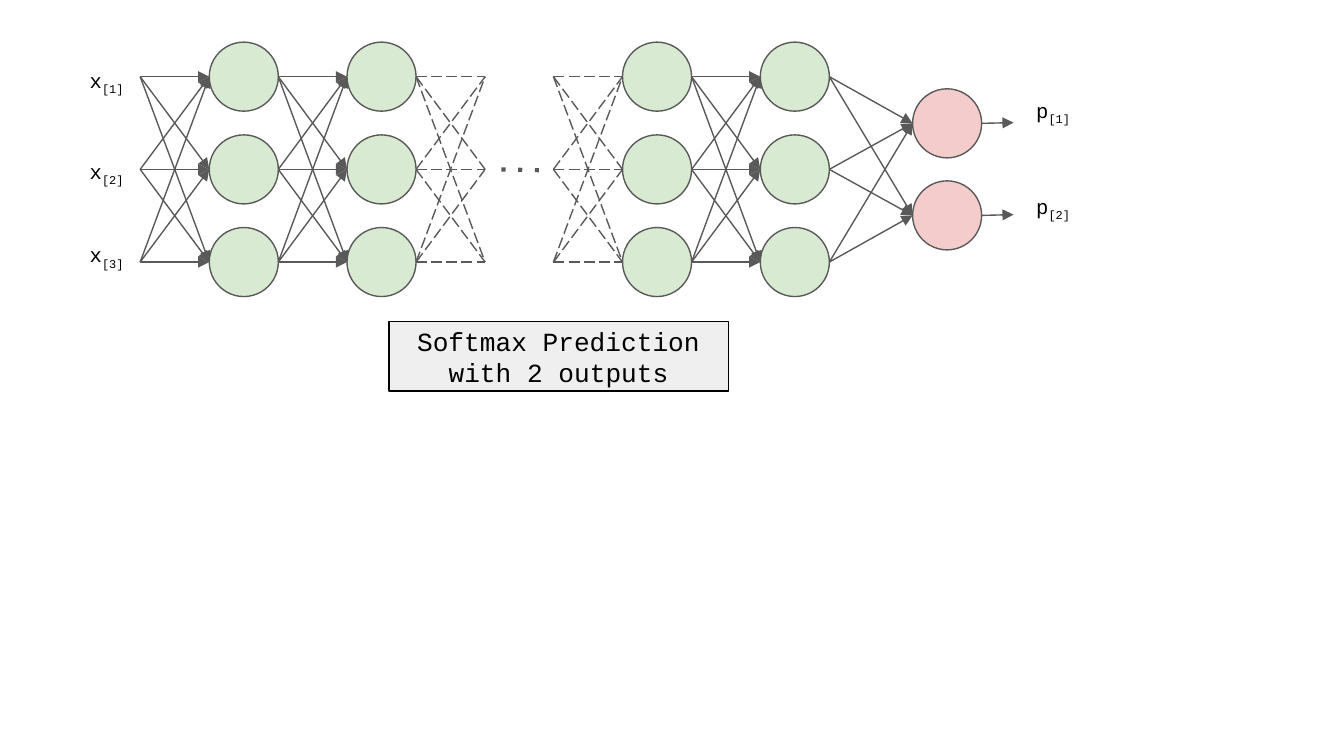
from itertools import product

from lxml import etree
from pptx import Presentation
from pptx import util as u
from pptx.dml.color import RGBColor
from pptx.enum import shapes, text
from pptx.oxml.ns import qn

COLORS = {"hidden": "D9EAD3", "output": "F4CCCC", "edge": "595959",
          "caption": "EFEFEF", "ink": "000000"}
FRAME = {"margin_left": u.Pt(7.2), "margin_right": u.Pt(7.2),
         "margin_top": 0, "margin_bottom": 0, "word_wrap": True}
DIAMETER = 37
ROWS = [41.1 + 49.65 * row for row in range(3)]
COLUMNS = [112.1 + 73.8 * column for column in (0, 1, 3, 4)]
OUTPUT_LEFT = 488.9
OUTPUT_ROWS = [66.1, 115.4]

prs = Presentation()
prs.slide_width, prs.slide_height = u.Pt(720), u.Pt(405)
slide = prs.slides.add_slide(prs.slide_layouts[6])
network = slide.shapes.add_group_shape().shapes


def add_link(start, end, width=0.75, dash=None, arrow=True):
    link = network.add_connector(shapes.MSO_CONNECTOR.STRAIGHT,
                                 *[u.Pt(value) for value in (*start, *end)])
    link.line.color.rgb = RGBColor.from_string(COLORS["edge"])
    link.line.width = u.Pt(width)
    properties = link._element.spPr
    outline = properties.find(qn("a:ln"))
    if dash:
        etree.SubElement(outline, qn("a:prstDash")).set("val", dash)
    if arrow:
        etree.SubElement(outline, qn("a:tailEnd")).set("type", "triangle")
    etree.SubElement(properties, qn("a:effectLst"))


def write(frame, parts, size, anchor, align):
    settings = {**FRAME, "vertical_anchor": anchor}
    for name, value in settings.items():
        setattr(frame, name, value)
    paragraph = frame.paragraphs[0]
    paragraph.alignment = align
    for words, baseline in parts:
        run = paragraph.add_run()
        run.text = words
        for name, value in {"name": "Courier New", "size": u.Pt(size)}.items():
            setattr(run.font, name, value)
        run.font.color.rgb = RGBColor.from_string(COLORS["ink"])
        if baseline:
            run._r.get_or_add_rPr().set("baseline", str(baseline))


neurons = [(left, row, "hidden") for left, row in product(COLUMNS, ROWS)]
neurons += [(OUTPUT_LEFT, row, "output") for row in OUTPUT_ROWS]
for left, row, role in neurons:
    neuron = network.add_shape(shapes.MSO_SHAPE.OVAL, u.Pt(left), u.Pt(row - DIAMETER / 2),
                               u.Pt(DIAMETER), u.Pt(DIAMETER))
    neuron.shadow.inherit = False
    neuron.fill.solid()
    neuron.fill.fore_color.rgb = RGBColor.from_string(COLORS[role])
    neuron.line.color.rgb = RGBColor.from_string(COLORS["edge"])
    neuron.line.width = u.Pt(0.75)

first, second, third, fourth = COLUMNS
layers = [
    (first - DIAMETER, first, ROWS, None),
    (first + DIAMETER, second, ROWS, None),
    (second + DIAMETER, second + 2 * DIAMETER, ROWS, "lgDash"),
    (third - DIAMETER, third, ROWS, "lgDash"),
    (third + DIAMETER, fourth, ROWS, None),
    (fourth + DIAMETER, OUTPUT_LEFT, OUTPUT_ROWS, None),
]
for start_x, end_x, targets, dash in layers:
    for source, target in product(ROWS, targets):
        add_link((start_x, source), (end_x, target), dash=dash, arrow=dash is None)

for row in OUTPUT_ROWS:
    add_link((OUTPUT_LEFT + DIAMETER, row), (543, row - 0.4))
add_link((268.6, 90.8), (289.6, 91.2), width=2.25, dash="dot", arrow=False)

labels = [("x", "[1]", 41, 36.2), ("x", "[2]", 41, 85.2), ("x", "[3]", 41, 129.9),
          ("p", "[1]", 548, 52.6), ("p", "[2]", 548, 103.8)]
for symbol, index, left, top in labels:
    label = network.add_textbox(u.Pt(left), u.Pt(top), u.Pt(DIAMETER), u.Pt(22))
    write(label.text_frame, [(symbol, 0), (index, -25000)], 11,
          text.MSO_ANCHOR.TOP, text.PP_ALIGN.LEFT)

caption = slide.shapes.add_shape(shapes.MSO_SHAPE.RECTANGLE, u.Pt(208.4), u.Pt(172.2),
                                 u.Pt(181.8), u.Pt(37.4))
caption.shadow.inherit = False
caption.fill.solid()
caption.fill.fore_color.rgb = RGBColor.from_string(COLORS["caption"])
caption.line.color.rgb = RGBColor.from_string(COLORS["ink"])
caption.line.width = u.Pt(0.75)
write(caption.text_frame, [("Softmax Prediction with 2 outputs", 0)], 14,
      text.MSO_ANCHOR.MIDDLE, text.PP_ALIGN.CENTER)

prs.save("out.pptx")
